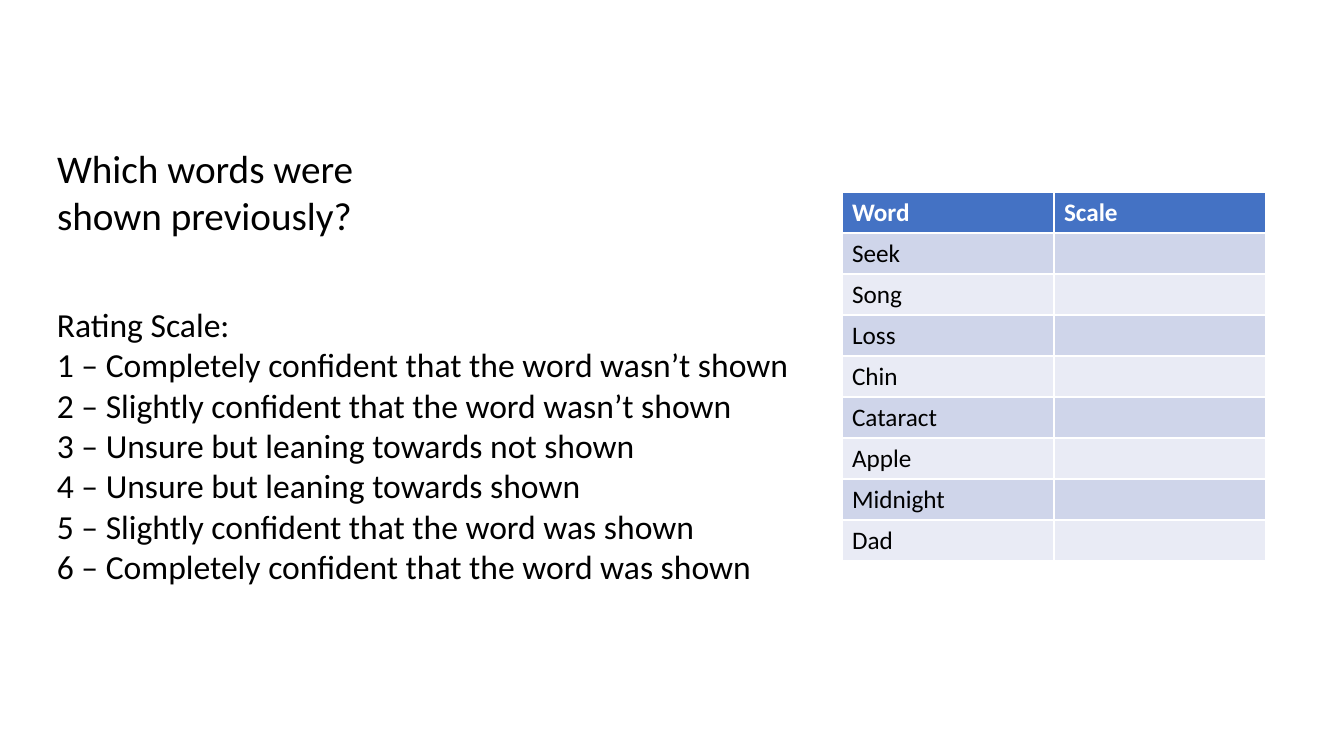
import pptx
import pptx.dml.color
import pptx.enum.text
import pptx.util


def px(n):
    return pptx.util.Emu(round(n * 914400 / 100.8))


def style(font, size, color, bold=False):
    font.name = "Calibri"
    font.size = pptx.util.Pt(size)
    font.bold = bold
    font.color.rgb = pptx.dml.color.RGBColor.from_string(color)


prs = pptx.Presentation()
prs.slide_width, prs.slide_height = px(1344), px(756)
slide = prs.slides.add_slide(prs.slide_layouts[5])

title = slide.shapes.title
title.left, title.top, title.width, title.height = px(47), px(139), px(435), px(105)
scale = slide.shapes.add_textbox(px(47), px(299), px(766), px(295))

texts = [
    (title, 28, True, ["Which words were", "shown previously?"]),
    (scale, 24, False, [
        "Rating Scale:",
        "1 – Completely confident that the word wasn’t shown",
        "2 – Slightly confident that the word wasn’t shown",
        "3 – Unsure but leaning towards not shown",
        "4 – Unsure but leaning towards shown",
        "5 – Slightly confident that the word was shown",
        "6 – Completely confident that the word was shown",
    ]),
]
for sp, size, wrap, lines in texts:
    tf = sp.text_frame
    tf.text = "\n".join(lines)
    tf.word_wrap = wrap
    tf.auto_size = pptx.enum.text.MSO_AUTO_SIZE.SHAPE_TO_FIT_TEXT
    tf.vertical_anchor = pptx.enum.text.MSO_ANCHOR.TOP
    for p in tf.paragraphs:
        p.alignment = pptx.enum.text.PP_ALIGN.LEFT
        p.space_before = pptx.util.Pt(0)
        style(p.font, size, "000000")

words = ["Seek", "Song", "Loss", "Chin", "Cataract", "Apple", "Midnight", "Dad"]
rows = [("Word", "Scale")] + [(word, "") for word in words]
table = slide.shapes.add_table(
    len(rows), 2, px(842), px(192), px(424), px(41 * len(rows))
).table
for i, row in enumerate(rows):
    header = i == 0
    fill = "4472C4" if header else ("E9EBF5", "CFD5EA")[i % 2]
    for j, text in enumerate(row):
        cell = table.cell(i, j)
        cell.text = text
        cell.fill.solid()
        cell.fill.fore_color.rgb = pptx.dml.color.RGBColor.from_string(fill)
        style(cell.text_frame.paragraphs[0].font, 18, "FFFFFF" if header else "000000", header)

prs.save("out.pptx")
